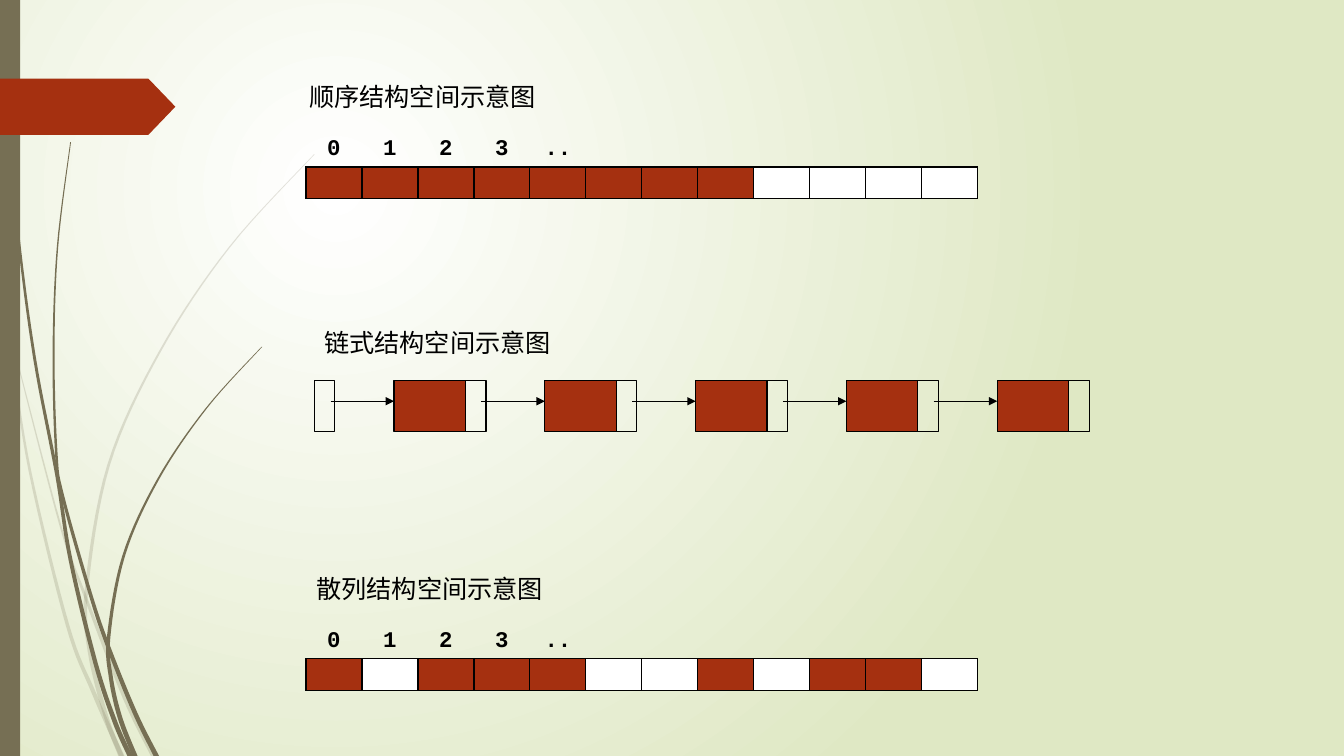
from pptx import Presentation
from pptx.dml.color import RGBColor as RGB
from pptx.enum.shapes import MSO_CONNECTOR as LINE, MSO_SHAPE as SHAPE
from pptx.enum.text import MSO_ANCHOR as ANCHOR, PP_ALIGN as ALIGN
from pptx.oxml.ns import qn
from pptx.util import Cm, Pt
from lxml.etree import SubElement as Sub

INK = {"red": "A53010", "olive": "766F54", "white": "FFFFFF",
       "green": "DFE8C4", "black": "000000"}
WIDE, HIGH = 33.87, 19.05
COLS = 12

# Stem centre lines in cm, from the tip to the root
FAINT = [
    [(0, 7.4), (.28, 8.9), (.76, 11.9), (1.7, 15.75), (2.36, 17.45), (3.07, HIGH)],
    [(.36, 8.8), (1.52, 13.23), (2.18, 15.11), (3.15, 17.6), (3.87, HIGH)],
    [(7.92, 3.89), (5.79, 6.22), (4.04, 8.84), (2.74, 11.71), (2.18, 14.86),
     (2.26, 16.4), (2.67, 18.05), (3.05, HIGH)],
]
DARK = [
    [(.09, 0), (.15, 1.22), (.19, 2.78), (.46, 5.92), (.87, 9.02), (1.43, 11.95),
     (1.78, 14.12), (2.41, 16.72), (2.9, 18.2), (3.28, HIGH)],
    [(1.78, 3.58), (1.45, 6.22), (1.35, 8.86), (1.42, 11.43), (1.58, 12.5),
     (2.29, 15.01), (2.74, 16.33), (3.4, 17.96), (3.94, HIGH)],
    [(6.6, 8.74), (5.2, 10.29), (3.99, 12.07), (3.12, 14), (2.74, 16.05),
     (2.8, 17.1), (3.03, 18.1), (3.4, HIGH)],
]


def tint(name):
    return RGB.from_string(INK[name])


def write(frame, text, size=18, font="Quicksand", bold=False, align=ALIGN.LEFT):
    para = frame.paragraphs[0]
    para.alignment = align
    run = para.add_run()
    run.text = text
    run.font.size, run.font.name, run.font.bold = Pt(size), font, bold
    run.font.color.rgb = tint("black")


def paint(shape, fill=None, line=None):
    shape.shadow.inherit = False
    if fill:
        shape.fill.solid()
        shape.fill.fore_color.rgb = tint(fill)
    else:
        shape.fill.background()
    if line:
        shape.line.color.rgb = tint(line)
        shape.line.width = Pt(0.75)
    else:
        shape.line.fill.background()


def box(slide, x, y, w, h, fill=None, line=None, kind=SHAPE.RECTANGLE):
    shape = slide.shapes.add_shape(kind, Cm(x), Cm(y), Cm(w), Cm(h))
    paint(shape, fill, line)
    return shape


def title(slide, text, x, y):
    frame = slide.shapes.add_textbox(Cm(x), Cm(y), Cm(8.13), Cm(1.27)).text_frame
    frame.word_wrap = True
    write(frame, text)


def arrow(slide, x, y, end):
    line = slide.shapes.add_connector(LINE.STRAIGHT, Cm(x), Cm(y), Cm(end), Cm(y))
    line.line.color.rgb = tint("black")
    line.line.width = Pt(0.75)
    Sub(line.line._get_or_add_ln(), qn("a:tailEnd"), type="triangle")
    Sub(line._element.spPr, qn("a:effectLst"))


def curve(knots, steps=8):
    """Points of a smooth curve through the knots."""
    ends = [knots[0], *knots, knots[-1]]
    dots = []
    for a, b, c, d in zip(ends, ends[1:], ends[2:], ends[3:]):
        for t in (i / steps for i in range(steps)):
            dots.append([(2 * q + (r - p) * t + (2 * p - 5 * q + 4 * r - s) * t ** 2
                          + (3 * q - p - 3 * r + s) * t ** 3) / 2
                         for p, q, r, s in zip(a, b, c, d)])
    return dots + [knots[-1]]


def stem(slide, knots, alpha=None):
    dots = curve(knots)
    left, right = [], []
    for i, (x, y) in enumerate(dots):
        half = 0.01 + 0.06 * i / len(dots)
        left.append((Cm(max(x - half, 0)), Cm(y)))
        right.append((Cm(x + half), Cm(y)))
    form = slide.shapes.build_freeform(*left[0])
    form.add_line_segments(left[1:] + right[::-1], close=True)
    shape = form.convert_to_shape()
    paint(shape, "olive")
    if alpha:
        color = shape._element.spPr.find(".//" + qn("a:srgbClr"))
        Sub(color, qn("a:alpha"), val=str(alpha * 1000))


def edge(cell, sides):
    props = cell._tc.get_or_add_tcPr()
    for i, side in enumerate(sides):
        line = Sub(props, qn("a:ln" + side), w=str(Pt(1)))
        Sub(Sub(line, qn("a:solidFill")), qn("a:srgbClr"), val=INK["black"])
        props.insert(i, line)


def strip(slide, y, used):
    """Numbered row of memory cells; the used ones are red."""
    rows = (0.88, 0.8)
    frame = slide.shapes.add_table(2, COLS, Cm(7.71), Cm(y), Cm(16.94), Cm(sum(rows)))
    grid = frame.table
    grid.first_row = grid.horz_banding = False
    style = grid._tbl.tblPr.find(qn("a:tableStyleId"))
    style.text = "{2D5ABB26-0587-4C30-8999-92F81FD0307C}"
    for row, high in zip(grid.rows, rows):
        row.height = Cm(high)
    for i, col in enumerate(grid.columns):
        col.width = Cm(16.94 / COLS)
        head, slot = grid.cell(0, i), grid.cell(1, i)
        for cell in (head, slot):
            cell.margin_top = cell.margin_bottom = 0
            cell.vertical_anchor = ANCHOR.MIDDLE
        head.fill.background()
        slot.fill.solid()
        slot.fill.fore_color.rgb = tint("red" if i in used else "white")
        edge(head, "B")
        edge(slot, "LRTB")
        if i < 5:
            write(head.text_frame, "0123"[i] if i < 4 else "..", size=16,
                  font="Courier New", bold=True, align=ALIGN.CENTER)
        else:
            Sub(head.text_frame.paragraphs[0]._p, qn("a:endParaRPr"), sz="1200")
        Sub(slot.text_frame.paragraphs[0]._p, qn("a:endParaRPr"), sz="1200")


def chain(slide, y, nodes=5, step=3.8):
    """Head pointer and linked nodes, each with a data and a pointer part."""
    high, data, link = 1.3, 1.8, 0.52
    box(slide, 7.92, y, link, high, line="black")
    for i in range(nodes):
        x = 9.93 + i * step
        box(slide, x, y, data, high, "red", "black")
        box(slide, x + data, y, link, high, line="black")
        arrow(slide, x - 1.6, y + 0.53, x)


def ground(slide):
    fill = slide.background.fill
    fill.gradient()
    for stop, name in zip(fill.gradient_stops, ("white", "green")):
        stop.color.rgb = tint(name)
    grad = next(slide._element.iter(qn("a:gradFill")))
    grad.remove(grad.find(qn("a:lin")))
    ring = Sub(grad, qn("a:path"), path="circle")
    Sub(ring, qn("a:fillToRect"), l="50000", t="50000", r="100000", b="100000")


def main():
    deck = Presentation()
    deck.slide_width, deck.slide_height = Cm(WIDE), Cm(HIGH)
    slide = deck.slides.add_slide(deck.slide_layouts[6])

    # Backdrop
    ground(slide)
    for knots in FAINT:
        stem(slide, knots, alpha=20)
    for knots in DARK:
        stem(slide, knots)
    box(slide, 0, 0, 0.51, HIGH, "olive")
    tag = box(slide, 0, 1.98, 4.42, 1.42, "red", kind=SHAPE.PENTAGON)
    tag.adjustments[0] = 0.48

    # Sequential, linked and hashed storage
    strip(slide, 3.33, range(8))
    chain(slide, 9.58)
    strip(slide, 15.72, (0, 2, 3, 4, 7, 9, 10))
    title(slide, "顺序结构空间示意图", 7.54, 1.93)
    title(slide, "链式结构空间示意图", 7.92, 8.13)
    title(slide, "散列结构空间示意图", 7.72, 14.33)

    deck.save("out.pptx")


if __name__ == "__main__":
    main()
